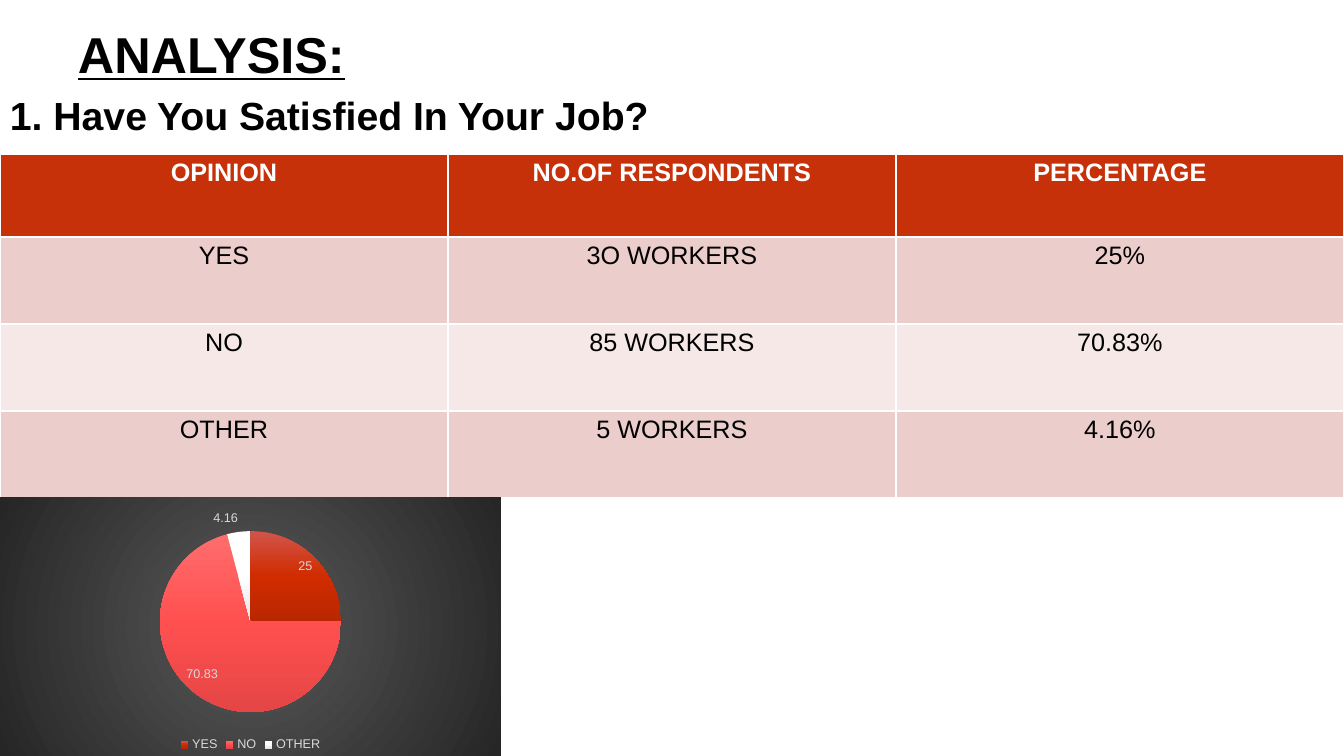
"""Build the job satisfaction analysis slide."""
from dataclasses import dataclass

from pptx import Presentation
from pptx.chart.data import CategoryChartData
from pptx.dml.color import RGBColor
from pptx.enum.chart import XL_CHART_TYPE as ChartType
from pptx.enum.chart import XL_LABEL_POSITION as LabelPosition
from pptx.enum.chart import XL_LEGEND_POSITION as LegendPosition
from pptx.enum.text import MSO_ANCHOR as Anchor
from pptx.enum.text import PP_ALIGN as Align
from pptx.oxml import parse_xml
from pptx.oxml.ns import nsdecls
from pptx.util import Pt


@dataclass(frozen=True)
class Theme:
    font: str = "Arial"
    ink: str = "000000"
    light: str = "FFFFFF"
    header: str = "C73109"
    bands: tuple = ("EBCECC", "F5E8E7")
    chart_text: str = "D9D9D9"
    backdrop: tuple = ("595959", "262626")
    slices: tuple = (
        ("D1554B", "D02C00", "B92700"),
        ("FF6C6C", "FF5050", "E54545"),
        ("FFFFFF", "FFFFFF", "E3E3E3"),
    )
    title_size: int = 36
    question_size: int = 28
    table_size: int = 18
    chart_size: int = 9


THEME = Theme()
EMU_PER_PX = 914400 / 100.8
LINEAR = '<a:lin ang="5400000" scaled="0"/>'
RADIAL = ('<a:path path="circle"><a:fillToRect l="50000" t="50000" '
          'r="50000" b="50000"/></a:path>')

HEADINGS = ("OPINION", "NO.OF RESPONDENTS", "PERCENTAGE")
ANSWERS = (
    ("YES", "3O WORKERS", "25%"),
    ("NO", "85 WORKERS", "70.83%"),
    ("OTHER", "5 WORKERS", "4.16%"),
)
SHARES = (25, 70.83, 4.16)


def px(*lengths):
    return [round(length * EMU_PER_PX) for length in lengths]


def style_font(font, size, color, bold=False):
    font.name = THEME.font
    font.size = Pt(size)
    font.bold = bold
    font.color.rgb = RGBColor.from_string(color)


def add_heading(slide, box, text, size, anchor, underline=False):
    frame = slide.shapes.add_textbox(*px(*box)).text_frame
    frame.word_wrap = True
    frame.vertical_anchor = anchor
    frame.text = text
    font = frame.paragraphs[0].runs[0].font
    style_font(font, size, THEME.ink, bold=True)
    font.underline = underline


def fill_cell(cell, text, fill, color, bold):
    cell.fill.solid()
    cell.fill.fore_color.rgb = RGBColor.from_string(fill)
    cell.text_frame.text = text
    paragraph = cell.text_frame.paragraphs[0]
    paragraph.alignment = Align.CENTER
    style_font(paragraph.runs[0].font, THEME.table_size, color, bold)


def add_answer_table(slide, box, header_height, row_height):
    rows = (HEADINGS, *ANSWERS)
    table = slide.shapes.add_table(len(rows), len(HEADINGS), *px(*box)).table
    for index, texts in enumerate(rows):
        is_header = index == 0
        table.rows[index].height = px(header_height if is_header else row_height)[0]
        fill = THEME.header if is_header else THEME.bands[(index - 1) % 2]
        color = THEME.light if is_header else THEME.ink
        for cell, text in zip(table.rows[index].cells, texts):
            fill_cell(cell, text, fill, color, is_header)


def gradient(colors, direction):
    step = 100000 // (len(colors) - 1)
    stops = "".join(
        f'<a:gs pos="{index * step}"><a:srgbClr val="{color}"/></a:gs>'
        for index, color in enumerate(colors))
    return parse_xml(f'<a:gradFill {nsdecls("a")} rotWithShape="1">'
                     f'<a:gsLst>{stops}</a:gsLst>{direction}</a:gradFill>')


def paint_chart(chart):
    backdrop = parse_xml(f'<c:spPr {nsdecls("c", "a")}><a:ln><a:noFill/></a:ln></c:spPr>')
    backdrop.insert(0, gradient(THEME.backdrop, RADIAL))
    chart.element.xpath("c:chart")[0].addnext(backdrop)
    points = chart.plots[0].series[0].points
    for index in range(len(THEME.slices)):
        points[index].format.line.fill.background()
    for properties, colors in zip(chart.element.xpath(".//c:dPt/c:spPr"), THEME.slices):
        properties.insert(0, gradient(colors, LINEAR))


def add_share_pie(slide, box):
    data = CategoryChartData()
    data.categories = [answer[0] for answer in ANSWERS]
    data.add_series("Series 1", SHARES)
    chart = slide.shapes.add_chart(ChartType.PIE, *px(*box), data).chart
    style_font(chart.font, THEME.chart_size, THEME.chart_text)
    chart.has_title = False
    chart.has_legend = True
    chart.legend.position = LegendPosition.BOTTOM
    chart.legend.include_in_layout = False
    style_font(chart.legend.font, THEME.chart_size, THEME.chart_text)
    plot = chart.plots[0]
    plot.vary_by_categories = True
    plot.has_data_labels = True
    labels = plot.data_labels
    labels.show_value = True
    labels.show_percentage = False
    labels.position = LabelPosition.BEST_FIT
    style_font(labels.font, THEME.chart_size, THEME.chart_text)
    paint_chart(chart)


def main():
    presentation = Presentation()
    presentation.slide_width, presentation.slide_height = px(1344, 756)
    slide = presentation.slides.add_slide(presentation.slide_layouts[6])
    add_heading(slide, (68, 21, 1210, 65), "ANALYSIS:",
                THEME.title_size, Anchor.MIDDLE, underline=True)
    add_heading(slide, (0, 86, 1344, 60), "1. Have You Satisfied In Your Job?",
                THEME.question_size, Anchor.TOP)
    add_answer_table(slide, (0, 154, 1344, 343), 83, 87)
    add_share_pie(slide, (0, 497, 501, 259))
    presentation.save("out.pptx")


if __name__ == "__main__":
    main()
